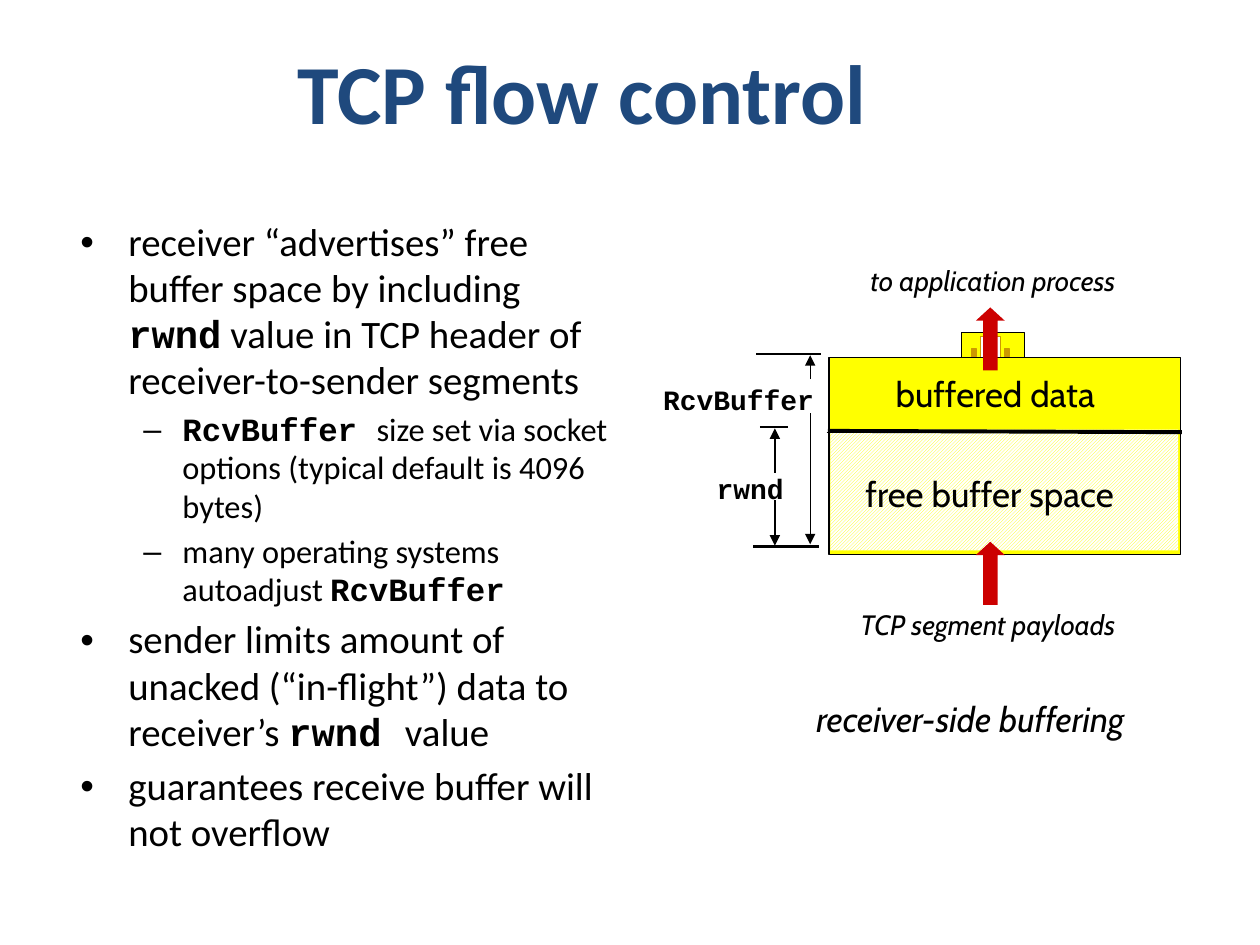
import pptx
import pptx.util
import pptx.dml.color
import pptx.enum.dml
import pptx.enum.shapes
import pptx.enum.text
from lxml import etree
from pptx.oxml.ns import qn

Inches = pptx.util.Inches
Pt = pptx.util.Pt
RGBColor = pptx.dml.color.RGBColor
Shape = pptx.enum.shapes.MSO_SHAPE
Align = pptx.enum.text.PP_ALIGN

BLACK = RGBColor(0, 0, 0)
WHITE = RGBColor(255, 255, 255)
NAVY = RGBColor(0x1F, 0x49, 0x7D)
YELLOW = RGBColor(255, 255, 0)
GOLD = RGBColor(0xCC, 0x99, 0)
RED = RGBColor(0xCC, 0, 0)
MONO = "Courier New"

POINTS = [
    (0, ["receiver “advertises” free buffer space by including ", "*rwnd",
         " value in TCP header of receiver-to-sender segments"]),
    (1, ["*RcvBuffer ", "size set via socket options (typical default is 4096 bytes)"]),
    (1, ["many operating systems autoadjust ", "*RcvBuffer"]),
    (0, ["sender limits amount of unacked (“in-flight”) data to receiver’s ",
         "*rwnd ", "value"]),
    (0, ["guarantees receive buffer will not overflow"]),
]
LEVELS = [("•", 0.38, 0.38, 22.2), ("–", 0.81, 0.31, 18.5)]


def style(font, name, size, color=BLACK, bold=False, italic=False):
    """Set the looks of a font."""
    font.name, font.size, font.bold, font.italic = name, Pt(size), bold, italic
    font.color.rgb = color


def frame(slide, box, wrap=True):
    """Add a text box and return its text frame."""
    text = slide.shapes.add_textbox(*map(Inches, box)).text_frame
    text.word_wrap = wrap
    return text


def label(slide, box, words, name, size, align=Align.LEFT, **looks):
    """Add one unwrapped line of text."""
    para = frame(slide, box, False).paragraphs[0]
    para.text, para.alignment = words, align
    style(para.font, name, size, **looks)


def block(slide, kind, box, fill, line=None):
    """Add a filled shape, outlined if a line colour is given."""
    shape = slide.shapes.add_shape(kind, *map(Inches, box))
    shape.shadow.inherit = False
    shape.fill.solid()
    shape.fill.fore_color.rgb = fill
    if line is None:
        shape.line.fill.background()
    else:
        shape.line.color.rgb = line
        shape.line.width = Pt(0.75)
    return shape


def rule(slide, start, end, width, arrow=False):
    """Add a black line, with an arrowhead at its end if asked."""
    line = slide.shapes.add_connector(
        pptx.enum.shapes.MSO_CONNECTOR.STRAIGHT, *map(Inches, (*start, *end)))
    line.line.color.rgb = BLACK
    line.line.width = Pt(width)
    if arrow:
        etree.SubElement(line.line._get_or_add_ln(), qn("a:tailEnd"), type="triangle")
    etree.SubElement(line._element.spPr, qn("a:effectLst"))


def title(slide, box):
    """Place the slide title."""
    text = frame(slide, box)
    text.vertical_anchor = pptx.enum.text.MSO_ANCHOR.MIDDLE
    para = text.paragraphs[0]
    para.text, para.alignment = "TCP flow control", Align.CENTER
    style(para.font, "Calibri", 48, NAVY, bold=True)


def points(slide, box):
    """Place the two-level list, with starred runs in bold mono."""
    text = frame(slide, box)
    for i, (level, runs) in enumerate(POINTS):
        para = text.add_paragraph() if i else text.paragraphs[0]
        mark, left, hang, size = LEVELS[level]
        para.level = level
        para.line_spacing = 0.99
        para.space_before = Pt(round(size * 0.2, 1))
        props = para._p.get_or_add_pPr()
        props.set("marL", str(Inches(left)))
        props.set("indent", str(-Inches(hang)))
        etree.SubElement(props, qn("a:buFont"), typeface="Arial")
        etree.SubElement(props, qn("a:buChar"), char=mark)
        style(para.font, "Calibri", size)
        for words in runs:
            run = para.add_run()
            run.text = words.lstrip("*")
            if words.startswith("*"):
                run.font.name, run.font.bold = MONO, True


def buffer(slide, box):
    """Place the buffer, its door, its two parts and the flow arrows."""
    x, y, w, h = box
    mid = x + w / 2
    rect = Shape.RECTANGLE
    block(slide, rect, (x + 1.05, y - 0.2, 0.5, 0.23), YELLOW, BLACK)
    block(slide, rect, (x + 1.2, y - 0.17, 0.16, 0.17), WHITE, GOLD)
    for left in (1.39, 1.13):
        block(slide, rect, (x + left, y - 0.07, 0.04, 0.06), GOLD, GOLD)
    block(slide, rect, box, YELLOW, BLACK)
    rule(slide, (x - 0.02, y + 0.59), (x + w, y + 0.59), 0.75)
    free = block(slide, rect, (x + 0.01, y + 0.57, w - 0.03, 0.96), YELLOW)
    free.fill.patterned()
    free.fill.pattern = pptx.enum.dml.MSO_PATTERN.DARK_UPWARD_DIAGONAL
    free.fill.fore_color.rgb = YELLOW
    free.fill.back_color.rgb = WHITE
    for top in (y - 0.4, y + h - 0.1):
        arrow = block(slide, Shape.UP_ARROW, (mid - 0.23, top, 0.23, 0.5), RED)
        arrow.adjustments[1] = 0.459
    rule(slide, (x - 0.01, y + 0.58), (x + w + 0.01, y + 0.59), 2.25)
    label(slide, (x + 0.43, y + 0.07, 1.86, 0.43), "buffered data", "Cabin", 20)
    label(slide, (x + 0.19, y + 0.86, 2.28, 0.43), "free buffer space", "Cabin", 20)
    label(slide, (x + 0.23, y - 0.8, 2.33, 0.37), "to application process",
          "Cabin", 16, italic=True)
    label(slide, (x + 0.15, y + 1.93, 2.43, 0.37), "TCP segment payloads",
          "Cabin", 16, italic=True)
    label(slide, (x - 0.2, y + 2.65, 2.95, 0.43), "receiver-side buffering",
          "Cabin", 20, italic=True)


def sizes(slide, box):
    """Place the two measures to the left of the buffer."""
    x, y, w, h = box
    base = y + h
    for left, top, wide in ((0.82, base, 0.52), (0.87, y + 0.58, 0.22), (0.84, y, 0.52)):
        rule(slide, (x + left, top), (x + left + wide, top), 1.5)
    for left, start, end in ((0.99, 0.94, 0.59), (0.99, 1.16, 1.52),
                             (1.27, 0.2, 0.01), (1.27, 0.47, 1.51)):
        rule(slide, (x + left, y + start), (x + left, y + end), 0.75, True)
    label(slide, (x + 0.43, y + 0.88, 0.74, 0.37), "rwnd", MONO, 16, bold=True)
    label(slide, (x, y + 0.18, w, 0.37), "RcvBuffer", MONO, 16, Align.RIGHT, bold=True)


def main():
    """Build and save the slide."""
    deck = pptx.Presentation()
    deck.slide_width, deck.slide_height = Inches(10), Inches(7.5)
    slide = deck.slides.add_slide(deck.slide_layouts[6])
    title(slide, (0.37, 0.19, 8.5, 1.07))
    buffer(slide, (6.58, 2.84, 2.79, 1.56))
    sizes(slide, (5.16, 2.81, 1.4, 1.53))
    points(slide, (0.54, 1.69, 4.43, 5.37))
    deck.save("out.pptx")


if __name__ == "__main__":
    main()
